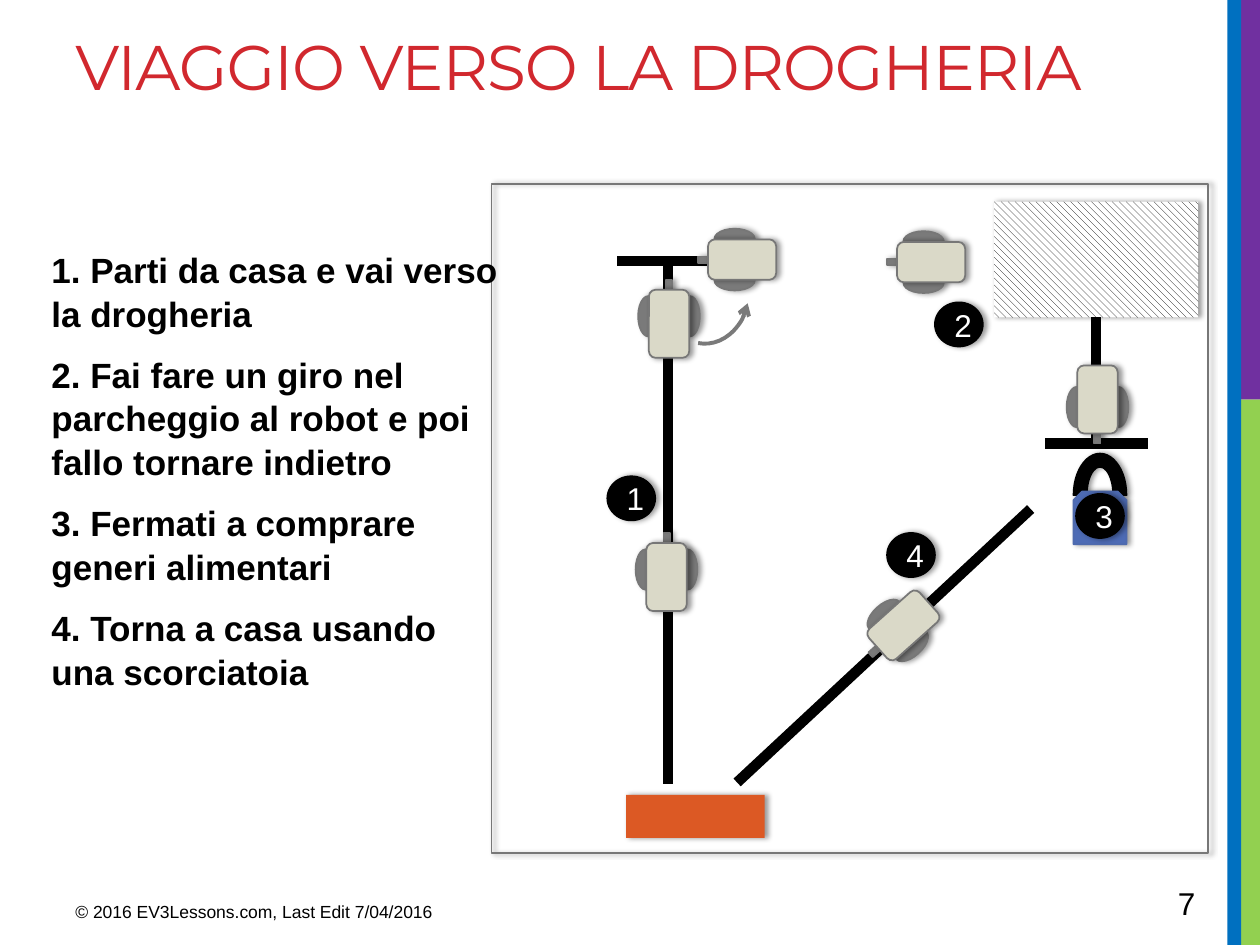
from typing import NamedTuple, Optional

from lxml.etree import SubElement
from pptx import Presentation
from pptx.dml.color import RGBColor
from pptx.enum.dml import MSO_PATTERN
from pptx.enum.shapes import MSO_CONNECTOR, MSO_SHAPE
from pptx.enum.text import MSO_ANCHOR, PP_ALIGN
from pptx.oxml.ns import qn
from pptx.util import Inches, Pt

COLORS = {
    "black": "000000", "white": "FFFFFF", "title": "D1282E",
    "blue": "0070C0", "green": "92D050", "purple": "7030A0",
    "outline": "777777", "wheel": "7A7A7A", "robot": "DAD9C8",
    "home": "DC5924", "bag": "4D6BB5", "bag_edge": "4E6AAE",
}
COLUMNS, ROWS = 100, 75
SLIDE_WIDTH, SLIDE_HEIGHT = Inches(10), Inches(7.5)


class Block(NamedTuple):
    column: float
    row: float
    width: float
    height: float
    fill: Optional[str] = None
    line: Optional[str] = None
    kind: MSO_SHAPE = MSO_SHAPE.RECTANGLE
    shadow: bool = True


class Robot(NamedTuple):
    column: float
    row: float
    heading: float


class Badge(NamedTuple):
    label: str
    column: float
    row: float


class Road(NamedTuple):
    start: tuple
    end: tuple


BARS = [
    Block(98.4, 31.7, 1.6, 43.3, "green", shadow=False),
    Block(98, 0, 2, 31.7, "purple", shadow=False),
    Block(97.4, 0, 1.1, 75, "blue", shadow=False),
]
FRAME = Block(39, 14.6, 56.9, 53.1, line="outline")
STORE = Block(78.9, 16, 16.2, 9.2)
HOME = Block(49.7, 63.1, 11, 3.4, "home")
BAG = [
    Block(85.2, 36, 4.2, 6.6, "black", "black", MSO_SHAPE.BLOCK_ARC),
    Block(85.2, 39, 4.2, 4.2, "bag", "bag_edge", MSO_SHAPE.SNIP_2_SAME_RECTANGLE),
]
ROADS = [
    Road((53, 62.2), (53, 20.7)),
    Road((58.5, 62.1), (81.8, 40.4)),
    Road((91.1, 35.2), (82.9, 35.2)),
    Road((57.1, 20.7), (49, 20.7)),
]
ROBOT_PARTS = [
    Block(-2.45, -1.8, 1.6, 3.2, "wheel", "outline", MSO_SHAPE.OVAL),
    Block(0.85, -1.8, 1.6, 3.2, "wheel", "outline", MSO_SHAPE.OVAL),
    Block(-0.25, -3.1, 0.5, 1.4, "wheel", "outline"),
    Block(-1.6, -2.3, 3.2, 5.4, "robot", "outline", MSO_SHAPE.ROUNDED_RECTANGLE),
]
ROBOTS = [
    Robot(52.9, 45.4, 0), Robot(73.5, 20.8, 270), Robot(87.1, 32.1, 180),
    Robot(71.4, 49.9, 228.2), Robot(58.5, 20.6, 270), Robot(53.1, 25.3, 0),
]
BADGES = [
    Badge("1", 48.2, 37.8), Badge("2", 74.2, 24),
    Badge("3", 85.4, 39.2), Badge("4", 70.4, 42.3),
]
STEPS = [
    "1. Parti da casa e vai verso la drogheria",
    "2. Fai fare un giro nel parcheggio al robot e poi fallo tornare indietro",
    "3. Fermati a comprare generi alimentari",
    "4. Torna a casa usando una scorciatoia",
]


def across(columns: float) -> int:
    return round(SLIDE_WIDTH * columns / COLUMNS)


def down(rows: float) -> int:
    return round(SLIDE_HEIGHT * rows / ROWS)


def color(name: str) -> RGBColor:
    return RGBColor.from_string(COLORS[name])


def add_shadow(shape) -> None:
    effects = shape._element.spPr.find(qn("a:effectLst"))
    outer = SubElement(effects, qn("a:outerShdw"), blurRad=str(Pt(3.1)),
                       dist=str(Pt(1.8)), dir="0", rotWithShape="0")
    tone = SubElement(outer, qn("a:srgbClr"), val=COLORS["black"])
    SubElement(tone, qn("a:alpha"), val="40000")


def draw_block(shapes, block: Block):
    shape = shapes.add_shape(block.kind, across(block.column), down(block.row),
                             across(block.width), down(block.height))
    if block.fill:
        shape.fill.solid()
        shape.fill.fore_color.rgb = color(block.fill)
    else:
        shape.fill.background()
    if block.line:
        shape.line.color.rgb = color(block.line)
        shape.line.width = Pt(1)
    else:
        shape.line.fill.background()
    shape.shadow.inherit = False
    if block.shadow:
        add_shadow(shape)
    return shape


def draw_road(shapes, road: Road):
    (start_column, start_row), (end_column, end_row) = road
    connector = shapes.add_connector(
        MSO_CONNECTOR.STRAIGHT, across(start_column), down(start_row),
        across(end_column), down(end_row))
    connector.line.color.rgb = color("black")
    connector.line.width = Pt(6)
    SubElement(connector._element.spPr, qn("a:effectLst"))
    return connector


def draw_robot(shapes, robot: Robot) -> None:
    group = shapes.add_group_shape()
    for part in ROBOT_PARTS:
        draw_block(group.shapes, part._replace(
            column=robot.column + part.column, row=robot.row + part.row))
    group.rotation = robot.heading


def write_span(para, text: str, size: float, tone: str = "black",
               name: str = "Arial", bold: bool = False):
    span = para.add_run()
    span.text = text
    for attribute, value in {"size": Pt(size), "name": name, "bold": bold}.items():
        setattr(span.font, attribute, value)
    span.font.color.rgb = color(tone)
    return span


def draw_badge(shapes, badge: Badge) -> None:
    shape = draw_block(shapes, Block(badge.column, badge.row, 3.8, 3.5,
                                     "black", "black", MSO_SHAPE.OVAL))
    shape.text_frame.vertical_anchor = MSO_ANCHOR.MIDDLE
    para = shape.text_frame.paragraphs[0]
    para.alignment = PP_ALIGN.CENTER
    write_span(para, badge.label, 18, "white")


def add_text_frame(shapes, column: float, row: float, width: float, height: float):
    box = shapes.add_textbox(across(column), down(row), across(width), down(height))
    box.text_frame.word_wrap = True
    return box.text_frame


def draw_steps(shapes) -> None:
    frame = add_text_frame(shapes, 3.1, 19.1, 37.8, 43.7)
    for index, step in enumerate(STEPS):
        para = frame.add_paragraph() if index else frame.paragraphs[0]
        spacing = {"space_before": Pt(4 if index else 0),
                   "space_after": Pt(6), "line_spacing": 1.04}
        for attribute, value in spacing.items():
            setattr(para, attribute, value)
        write_span(para, step, 20, bold=True)


def draw_turn(shapes) -> None:
    turn = draw_block(shapes, Block(52.3, 20.2, 7.7, 6.5, line="wheel",
                                    kind=MSO_SHAPE.ARC, shadow=False))
    turn.line.width = Pt(2.25)
    turn.rotation = 101.1
    SubElement(turn.line._get_or_add_ln(), qn("a:headEnd"), type="arrow")


def main() -> None:
    deck = Presentation()
    deck.slide_width, deck.slide_height = SLIDE_WIDTH, SLIDE_HEIGHT
    page = deck.slides.add_slide(deck.slide_layouts[6])
    shapes = page.shapes

    for block in [*BARS, FRAME]:
        draw_block(shapes, block)

    title = add_text_frame(shapes, 5, 1.7, 90.2, 15)
    heading = write_span(title.paragraphs[0], "VIAGGIO VERSO LA DROGHERIA",
                         36, "title", "Montserrat")
    heading._r.get_or_add_rPr().set("spc", "-60")
    draw_steps(shapes)
    footer = add_text_frame(shapes, 5, 71, 37.5, 3.1)
    write_span(footer.paragraphs[0], "© 2016 EV3Lessons.com, Last Edit 7/04/2016", 10)
    number = add_text_frame(shapes, 92.5, 69.7, 6.9, 4)
    write_span(number.paragraphs[0], "7", 18)

    store = draw_block(shapes, STORE)
    store.fill.patterned()
    store.fill.pattern = MSO_PATTERN.WIDE_DOWNWARD_DIAGONAL
    store.fill.fore_color.rgb = color("black")
    store.fill.back_color.rgb = color("white")
    for block in [HOME, *BAG]:
        draw_block(shapes, block)
    draw_road(shapes, Road((87, 25.2), (87, 35.2))).begin_connect(store, 2)
    for road in ROADS:
        draw_road(shapes, road)
    for robot in ROBOTS:
        draw_robot(shapes, robot)
    for badge in BADGES:
        draw_badge(shapes, badge)
    draw_turn(shapes)

    deck.save("out.pptx")


if __name__ == "__main__":
    main()
